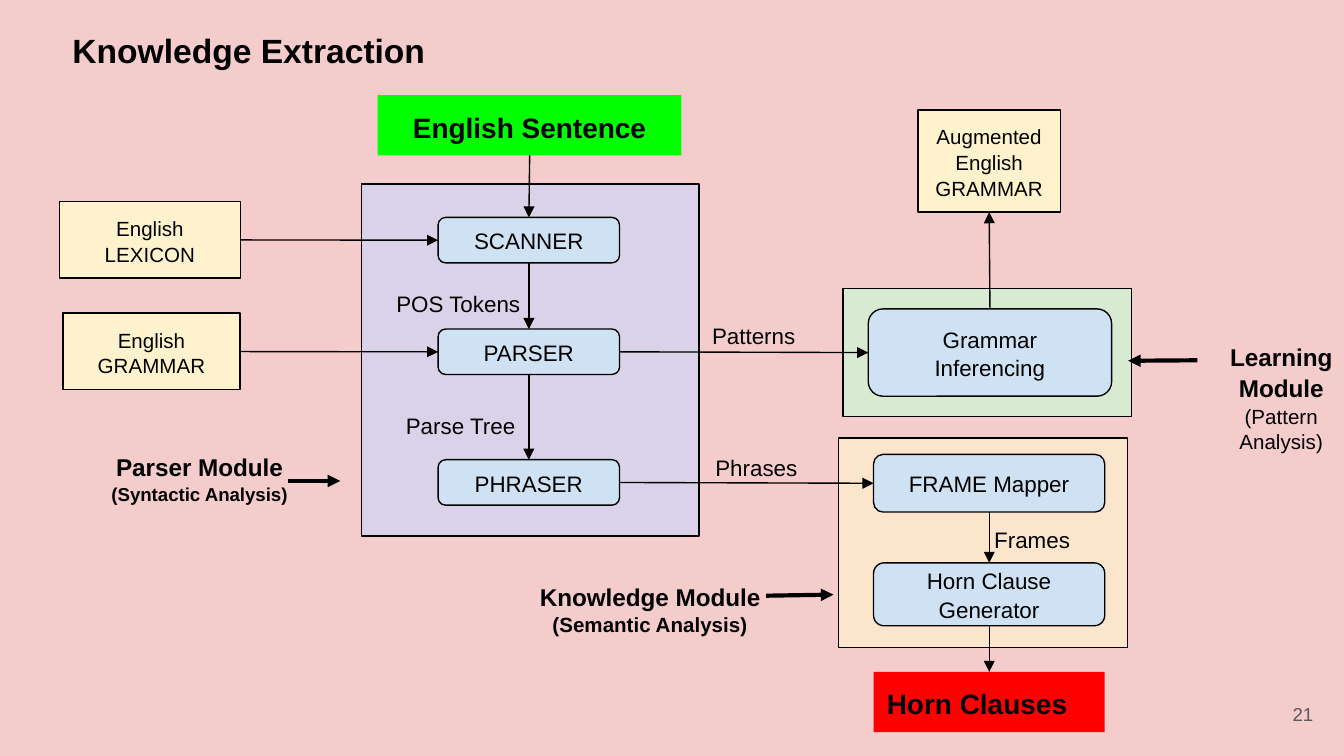
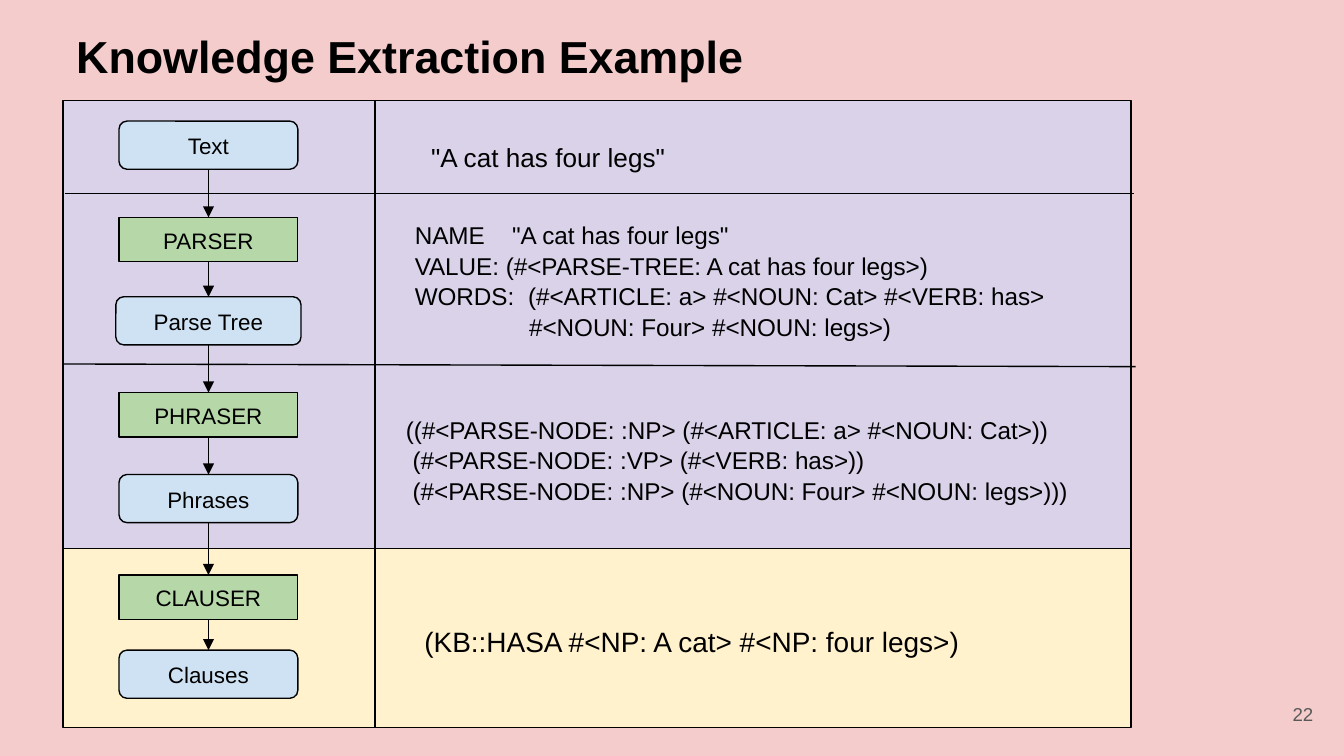
import pptx
import pptx.util
import pptx.dml.color
import pptx.enum.shapes
import pptx.enum.text
import pptx.oxml.ns
import lxml.etree

Cm, Pt = pptx.util.Cm, pptx.util.Pt
RGB = pptx.dml.color.RGBColor
SHAPE = pptx.enum.shapes.MSO_SHAPE
ALIGN = pptx.enum.text.PP_ALIGN
ANCHOR = pptx.enum.text.MSO_ANCHOR
qn = pptx.oxml.ns.qn

# Shared style
FONT = "Arial"
BLACK = RGB(0x00, 0x00, 0x00)
GREY = RGB(0x59, 0x59, 0x59)
PINK = RGB(0xF4, 0xCC, 0xCC)
LAVENDER = RGB(0xD9, 0xD2, 0xE9)
BLUE = RGB(0xCF, 0xE2, 0xF3)
CREAM = RGB(0xFF, 0xF2, 0xCC)
PEACH = RGB(0xFC, 0xE5, 0xCD)
MINT = RGB(0xD9, 0xEA, 0xD3)
GREEN = RGB(0xB6, 0xD7, 0xA8)
LIME = RGB(0x00, 0xFF, 0x00)
RED = RGB(0xFF, 0x00, 0x00)
INSET = 0.25
LINE_SPACING = 1.05
NUMBER_AT = (23.55, 12.95, 1.52, 1.09)
TOP, LEFT, BOTTOM, RIGHT = range(4)  # connection sites of a box

# Slide 1 content, boxes as (left, top, width, height) in cm
MODULE_PANELS = [
    ((15.93, 5.46, 5.46, 2.41), MINT),
    ((15.85, 8.28, 5.46, 3.96), PEACH),
    ((6.83, 3.48, 6.38, 6.65), LAVENDER),
]
STEPS = {
    "scanner": (["SCANNER"], (8.28, 4.11, 3.43, 0.86)),
    "parser": (["PARSER"], (8.28, 6.22, 3.43, 0.86)),
    "phraser": (["PHRASER"], (8.28, 8.69, 3.43, 0.86)),
    "mapper": (["FRAME Mapper"], (16.51, 8.59, 4.37, 1.09)),
    "generator": (["Horn Clause", "Generator"], (16.51, 10.64, 4.37, 1.19)),
    "inferencing": (["Grammar", "Inferencing"], (16.41, 5.84, 4.6, 1.65)),
}
RESOURCES = {
    "lexicon": (["English", "LEXICON"], (1.12, 3.81, 3.43, 1.45)),
    "grammar": (["English", "GRAMMAR"], (1.19, 5.92, 3.35, 1.45)),
    "augmented": (["Augmented", "English", "GRAMMAR"], (17.35, 2.08, 2.69, 1.93)),
}
ENDS = {
    "sentence": (["English Sentence"], (7.14, 1.8, 5.74, 1.14), LIME, ALIGN.CENTER),
    "clauses": (["Horn Clauses"], (16.51, 12.7, 4.37, 1.14), RED, ALIGN.LEFT),
}
LINKS = [
    ("sentence", BOTTOM, "scanner", TOP),
    ("scanner", BOTTOM, "parser", TOP),
    ("parser", BOTTOM, "phraser", TOP),
    ("lexicon", RIGHT, "scanner", LEFT),
    ("grammar", RIGHT, "parser", LEFT),
    ("parser", RIGHT, "inferencing", LEFT),
    ("phraser", RIGHT, "mapper", LEFT),
    ("inferencing", TOP, "augmented", BOTTOM),
    ("mapper", BOTTOM, "generator", TOP),
    ("generator", BOTTOM, "clauses", TOP),
]
FLOW_LABELS = [
    ("POS Tokens", (7.24, 5.21, 3.02, 1.02), ALIGN.LEFT),
    ("Parse Tree", (7.42, 7.52, 2.69, 1.02), ALIGN.LEFT),
    ("Frames", (18.54, 9.68, 2.29, 1.02), ALIGN.LEFT),
    ("Phrases", (12.95, 8.31, 2.69, 1.02), ALIGN.CENTER),
    ("Patterns", (12.57, 5.82, 3.35, 1.02), ALIGN.CENTER),
]
# Each module: lines, box, arrow start, arrow end
MODULES = [
    (["Parser Module", ("(Syntactic Analysis)", {"size": 10})],
     (1.47, 8.28, 4.6, 1.5), (5.44, 9.09), (6.43, 9.09)),
    (["Knowledge Module", ("(Semantic Analysis)", {"size": 11})],
     (9.91, 10.72, 4.75, 1.55), (14.48, 11.26), (15.75, 11.24)),
    (["Learning", "Module", ("(Pattern Analysis)", {"size": 11, "bold": False})],
     (22.5, 6.2, 3.43, 2.57), (22.63, 6.81), (21.32, 6.82)),
]

# Slide 2 content
EXAMPLE_LEFT, EXAMPLE_WIDTH = 1.19, 20.19
EXAMPLE_PANELS = [(10.37, 3.38, CREAM), (1.9, 8.47, LAVENDER)]
DIVIDERS = [
    ((1.22, 3.66), (21.44, 3.66)),
    ((1.19, 6.88), (21.46, 6.93)),
    ((7.09, 1.9), (7.09, 13.75)),
]
FLOW_CENTRE = 3.94
FLOW = [  # data and processes take turns: text, top, width
    ("Text", 2.29, 3.38),
    ("PARSER", 4.11, 3.38),
    ("Parse Tree", 5.61, 3.5),
    ("PHRASER", 7.42, 3.38),
    ("Phrases", 8.97, 3.38),
    ("CLAUSER", 10.87, 3.38),
    ("Clauses", 12.29, 3.38),
]
RESULTS = [
    (['"A cat has four legs"'], (7.9, 2.39, 13.06, 1.12), 14),
    ([("NAME\t\"A cat has four legs\"", {"tab": 1.84}),
      "VALUE: (#<PARSE-TREE: A cat has four legs>)",
      ("WORDS:\t(#<ARTICLE: a> #<NOUN: Cat> #<VERB: has>", {"tab": 2.14}),
      ("#<NOUN: Four> #<NOUN: legs>)", {"indent": 2.16})],
     (7.59, 3.89, 13.64, 2.74), 13),
    (["((#<PARSE-NODE: :NP> (#<ARTICLE: a> #<NOUN: Cat>))",
      ("(#<PARSE-NODE: :VP> (#<VERB: has>))", {"indent": 0.13}),
      ("(#<PARSE-NODE: :NP> (#<NOUN: Four> #<NOUN: legs>)))", {"indent": 0.13})],
     (7.42, 7.57, 13.64, 2.18), 13),
    (["(KB::HASA #<NP: A cat> #<NP: four legs>)"], (7.77, 11.53, 11.38, 1.14), 15),
]


def write(sp, lines, anchor=ANCHOR.TOP, **style):
    """Fill a shape with lines; a line may be (text, style overrides)."""
    tf = sp.text_frame
    tf.word_wrap = True
    tf.auto_size = pptx.enum.text.MSO_AUTO_SIZE.NONE
    tf.vertical_anchor = anchor
    tf.margin_left = tf.margin_right = tf.margin_top = tf.margin_bottom = Cm(INSET)
    for i, line in enumerate(lines):
        text, own = line if isinstance(line, tuple) else (line, {})
        f = {"size": 12, "bold": False, "color": BLACK, "align": ALIGN.LEFT, **style, **own}
        p = tf.paragraphs[0] if i == 0 else tf.add_paragraph()
        p.alignment = f["align"]
        p.line_spacing = LINE_SPACING
        p.space_before = p.space_after = Pt(0)
        r = p.add_run()
        r.text = text
        r.font.name, r.font.size, r.font.bold = FONT, Pt(f["size"]), f["bold"]
        r.font.color.rgb = f["color"]
        pPr = p._p.get_or_add_pPr()
        if "indent" in f:
            pPr.set("marL", str(Cm(f["indent"])))
        if "tab" in f:
            tabs = lxml.etree.SubElement(pPr, qn("a:tabLst"))
            lxml.etree.SubElement(tabs, qn("a:tab"), pos=str(Cm(f["tab"])), algn="l")


def add_text(s, lines, at, **style):
    sp = s.shapes.add_textbox(*map(Cm, at))
    write(sp, lines, **style)
    return sp


def add_box(s, at, fill, lines=(), kind=SHAPE.RECTANGLE, outlined=True, **style):
    sp = s.shapes.add_shape(kind, *map(Cm, at))
    sp.shadow.inherit = False
    sp.fill.solid()
    sp.fill.fore_color.rgb = fill
    if outlined:
        sp.line.color.rgb = BLACK
        sp.line.width = Pt(0.75)
    else:
        sp.line.fill.background()
    if lines:
        write(sp, lines, **{"align": ALIGN.CENTER, **style})
    return sp


def add_line(s, start=(0, 0), end=(0, 0), width=0.75, arrow=True):
    c = s.shapes.add_connector(pptx.enum.shapes.MSO_CONNECTOR.STRAIGHT,
                               *map(Cm, (*start, *end)))
    c.line.color.rgb = BLACK
    c.line.width = Pt(width)
    if arrow:
        lxml.etree.SubElement(c.line._get_or_add_ln(), qn("a:tailEnd"), type="triangle")
    lxml.etree.SubElement(c._element.spPr, qn("a:effectLst"))
    return c


def link(s, a, a_site, b, b_site):
    c = add_line(s)
    c.begin_connect(a, a_site)
    c.end_connect(b, b_site)


def add_slide(prs, title, at, size, number):
    s = prs.slides.add_slide(prs.slide_layouts[5])
    sp = s.shapes.title
    sp.left, sp.top, sp.width, sp.height = map(Cm, at)
    write(sp, [title], size=size, bold=True)
    add_text(s, [number], NUMBER_AT, anchor=ANCHOR.MIDDLE, size=10, color=GREY,
             align=ALIGN.RIGHT)
    return s


def build_extraction(prs):
    s = add_slide(prs, "Knowledge Extraction", (1.12, 0.28, 11.07, 2.06), 18, "21")
    for at, fill in MODULE_PANELS:
        add_box(s, at, fill)

    # Boxes and the arrows between them
    boxes = {}
    for key, (lines, at) in STEPS.items():
        boxes[key] = add_box(s, at, BLUE, lines, SHAPE.ROUNDED_RECTANGLE,
                             anchor=ANCHOR.MIDDLE)
    for key, (lines, at) in RESOURCES.items():
        boxes[key] = add_box(s, at, CREAM, lines, size=11)
    for key, (lines, at, fill, align) in ENDS.items():
        boxes[key] = add_box(s, at, fill, lines, outlined=False, size=15, bold=True,
                             align=align)
    for a, a_site, b, b_site in LINKS:
        link(s, boxes[a], a_site, boxes[b], b_site)

    # Labels
    for text, at, align in FLOW_LABELS:
        add_text(s, [text], at, align=align)
    for lines, at, start, end in MODULES:
        add_text(s, lines, at, size=13, bold=True, align=ALIGN.CENTER)
        add_line(s, start, end, width=2.25)


def build_example(prs):
    s = add_slide(prs, "Knowledge Extraction Example", (1.19, 0.25, 20.27, 1.55), 24, "22")
    for top, height, fill in EXAMPLE_PANELS:
        add_box(s, (EXAMPLE_LEFT, top, EXAMPLE_WIDTH, height), fill)
    for start, end in DIVIDERS:
        add_line(s, start, end, arrow=False)

    # Flow down the left column
    previous = None
    for i, (text, top, width) in enumerate(FLOW):
        kind, fill, height = ((SHAPE.RECTANGLE, GREEN, 0.84) if i % 2 else
                              (SHAPE.ROUNDED_RECTANGLE, BLUE, 0.91))
        box = add_box(s, (FLOW_CENTRE - width / 2, top, width, height), fill, [text], kind,
                      anchor=ANCHOR.MIDDLE)
        if previous is not None:
            link(s, previous, BOTTOM, box, TOP)
        previous = box

    # Result of each stage
    for lines, at, size in RESULTS:
        add_text(s, lines, at, size=size)


def main():
    prs = pptx.Presentation()
    prs.slide_width, prs.slide_height = Cm(25.4), Cm(14.29)
    bg = prs.slide_master.background.fill
    bg.solid()
    bg.fore_color.rgb = PINK
    build_extraction(prs)
    build_example(prs)
    prs.save("out.pptx")


if __name__ == "__main__":
    main()
